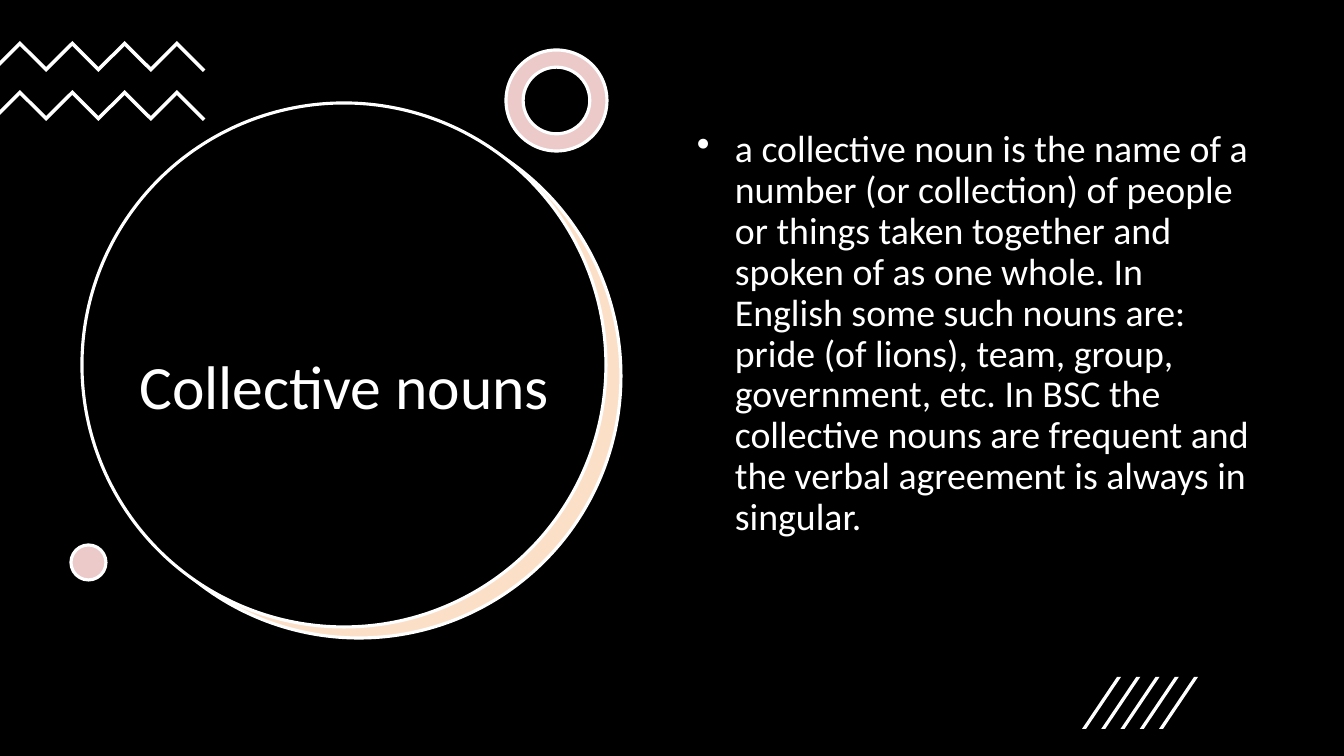
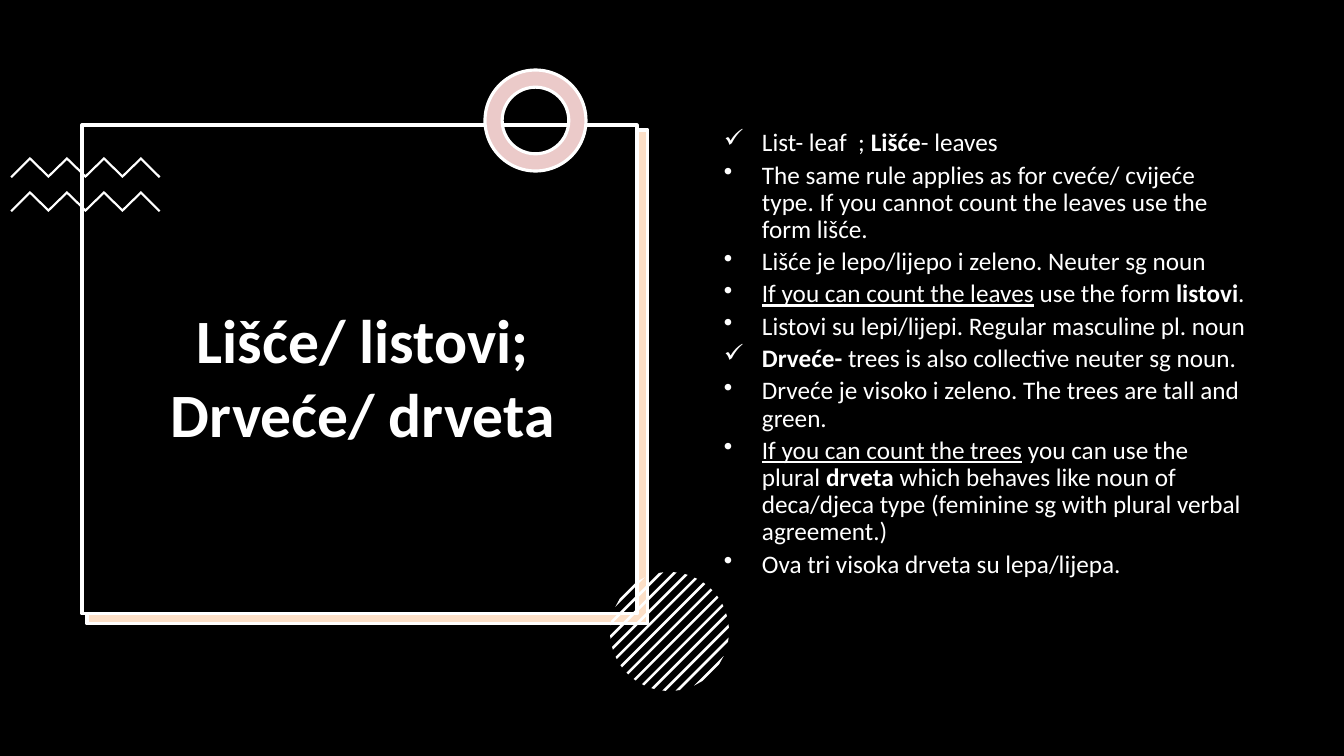
from math import sqrt

from lxml.etree import SubElement
from pptx import Presentation
from pptx.dml.color import RGBColor
from pptx.enum.shapes import MSO_SHAPE
from pptx.enum.text import MSO_ANCHOR, PP_ALIGN
from pptx.oxml.ns import qn
from pptx.util import Emu, Pt

# Shared look
BLACK = RGBColor(0x00, 0x00, 0x00)
WHITE = RGBColor(0xFF, 0xFF, 0xFF)
ORANGE = RGBColor(0xF7, 0x96, 0x46)
RED = RGBColor(0xC0, 0x50, 0x4D)
FONT = "Calibri"
TITLE_SIZE = 44
TINT_ALPHA = 30
OUTLINE = 2.25
PAGE_WIDTH, PAGE_HEIGHT = 1344, 756
EMU_PER_PIXEL = 914400 / 100.8
HANGING = 38
RING_SIZE, RING_THICKNESS = 101, 0.17

# Content: a paragraph is (bullet, [(text, format), ...])
DOT, TICK = "\u2022", "\u2713"
PLAIN, BOLD, UNDERLINED = {}, {"bold": True}, {"underline": True}

NOUNS_TITLE = "Collective nouns"
NOUNS_BODY = [
    (DOT, [("a\u00a0collective noun\u00a0is the name of a number (or collection) of people "
            "or things taken together and spoken of as one whole. In English some such "
            "nouns are: pride (of lions), team, group, government, etc. In BSC the "
            "collective nouns are frequent and the verbal agreement is always in "
            "singular.", PLAIN)]),
]

LEAVES_TITLE = "Lišće/ listovi; Drveće/ drveta"
LEAVES_BODY = [
    (TICK, [("List- leaf  ; ", PLAIN), ("Lišće", BOLD), ("- leaves", PLAIN)]),
    (DOT, [("The same rule applies as for cveće/ cvijeće type. If you cannot count "
            "the leaves use the form lišće.", PLAIN)]),
    (DOT, [("Lišće je lepo/lijepo i zeleno. Neuter sg noun", PLAIN)]),
    (DOT, [("If you can count the leaves", UNDERLINED), (" use the form ", PLAIN),
           ("listovi", BOLD), (".", PLAIN)]),
    (DOT, [("Listovi su lepi/lijepi. Regular masculine pl. noun", PLAIN)]),
    (TICK, [("Drveće-", BOLD), (" trees is also collective neuter sg noun.", PLAIN)]),
    (DOT, [("Drveće je visoko i zeleno. The trees are tall and green.", PLAIN)]),
    (DOT, [("If you can count the trees", UNDERLINED), (" you can use the plural ", PLAIN),
           ("drveta", BOLD),
           (" which behaves like noun of deca/djeca type (feminine sg with plural "
            "verbal agreement.)", PLAIN)]),
    (DOT, [("Ova tri visoka drveta su lepa/lijepa.", PLAIN)]),
]


def emu(pixels):
    return Emu(round(pixels * EMU_PER_PIXEL))


# Shapes
def paint(shape, fill, line=None):
    shape.shadow.inherit = False
    shape.fill.solid()
    shape.fill.fore_color.rgb = fill
    if line is None:
        shape.line.fill.background()
    else:
        shape.line.color.rgb = line
        shape.line.width = Pt(OUTLINE)


def add_preset(page, kind, place, fill, line=None):
    shape = page.shapes.add_shape(kind, *map(emu, place))
    paint(shape, fill, line)
    return shape


def add_tinted(page, kind, place, tint, thickness=None):
    """A white base under a see-through tint with a white outline."""
    base = add_preset(page, kind, place, WHITE)
    cover = add_preset(page, kind, place, tint, WHITE)
    color = cover._element.spPr.find(".//" + qn("a:srgbClr"))
    SubElement(color, qn("a:alpha"), val=str(TINT_ALPHA * 1000))
    if thickness is not None:
        for shape in (base, cover):
            shape.adjustments[0] = thickness


def add_ring(page, left, top):
    place = (left, top, RING_SIZE, RING_SIZE)
    add_tinted(page, MSO_SHAPE.DONUT, place, RED, RING_THICKNESS)


def add_panel(page, kind, back, front):
    add_tinted(page, kind, back, ORANGE)
    add_preset(page, kind, front, BLACK, WHITE)


def add_outline(page, points):
    corners = [(emu(x), emu(y)) for x, y in points]
    builder = page.shapes.build_freeform(*corners[0])
    builder.add_line_segments(corners[1:], close=True)
    paint(builder.convert_to_shape(), WHITE)


def add_zigzags(page, first, last, tops, rise, thickness):
    """Bands with seven bends; the left tail is cut off at the page edge."""
    step = (last - first) / 6
    reach = min(rise, first)
    cut = thickness / 2
    left_cut = cut if first > rise else 0
    for top in tops:
        bends = [(first + i * step, top + i % 2 * rise) for i in range(7)]
        upper = [(first - reach - left_cut, top + reach + left_cut), *bends,
                 (last + rise + cut, top + rise + cut)]
        lower = [(first - reach, top + reach + thickness),
                 *((x, y + thickness) for x, y in bends),
                 (last + rise, top + rise + thickness)]
        add_outline(page, upper + lower[::-1])


def add_slashes(page, left, top, height, count, step):
    slant, thickness = 35, 4
    for i in range(count):
        x = left + i * step
        add_outline(page, [(x, top + height), (x + slant, top),
                           (x + slant + thickness, top), (x + thickness, top + height)])


def add_striped_disc(page, left, top, size, count):
    """Diagonal stripes, each cut to the chords of the disc."""
    radius = size / 2
    center_x, center_y = left + radius, top + radius
    step, half_stripe = 9.5, 1.3
    for i in range(count):
        middle = (i - count // 2) * step
        points = []
        for offset, side in ((middle - half_stripe, 1), (middle + half_stripe, -1)):
            chord = sqrt(radius ** 2 - offset ** 2)
            for along in (side * chord, -side * chord):
                points.append((center_x + (offset + along) / sqrt(2),
                               center_y + (offset - along) / sqrt(2)))
        add_outline(page, points)


# Text
def add_span(para, text, size, formats):
    span = para.add_run()
    span.text = text
    span.font.color.rgb = WHITE
    for name, value in {"name": FONT, "size": Pt(size), **formats}.items():
        setattr(span.font, name, value)


def add_box(page, place):
    frame = page.shapes.add_textbox(*map(emu, place)).text_frame
    frame.word_wrap = True
    return frame


def add_title(page, place, text, formats):
    frame = add_box(page, place)
    frame.vertical_anchor = MSO_ANCHOR.MIDDLE
    para = frame.paragraphs[0]
    para.alignment = PP_ALIGN.CENTER
    add_span(para, text, TITLE_SIZE, formats)


def add_body(page, place, paragraphs, size):
    frame = add_box(page, place)
    for i, (bullet, spans) in enumerate(paragraphs):
        para = frame.add_paragraph() if i else frame.paragraphs[0]
        para.line_spacing = 0.9
        para.space_before = Pt(size * 0.2)
        properties = para._p.get_or_add_pPr()
        properties.set("marL", str(emu(HANGING)))
        properties.set("indent", str(-emu(HANGING)))
        SubElement(properties, qn("a:buChar"), char=bullet)
        for text, formats in spans:
            add_span(para, text, size, formats)


deck = Presentation()
deck.slide_width, deck.slide_height = emu(PAGE_WIDTH), emu(PAGE_HEIGHT)


def add_page():
    page = deck.slides.add_slide(deck.slide_layouts[6])
    add_preset(page, MSO_SHAPE.RECTANGLE, (0, 0, PAGE_WIDTH, PAGE_HEIGHT), BLACK)
    return page


# Slide 1: collective nouns
page = add_page()
add_panel(page, MSO_SHAPE.OVAL, (97, 114, 524, 524), (82, 103, 524, 524))
add_title(page, (122, 207, 445, 355), NOUNS_TITLE, PLAIN)
add_zigzags(page, first=20, last=177, tops=(41, 90), rise=26, thickness=5)
add_ring(page, 506, 50)
add_tinted(page, MSO_SHAPE.OVAL, (71, 545, 35, 35), RED)
add_body(page, (687, 125, 576, 480), NOUNS_BODY, 27)
add_slashes(page, left=1082, top=677, height=52, count=5, step=19.25)

# Slide 2: leaves and trees
page = add_page()
add_panel(page, MSO_SHAPE.RECTANGLE, (87, 130, 561, 494), (82, 125, 555, 489))
add_zigzags(page, first=30, last=141, tops=(157, 191), rise=18, thickness=3)
add_ring(page, 485, 70)
add_striped_disc(page, left=610, top=572, size=119, count=13)
add_title(page, (93, 153, 540, 446), LEAVES_TITLE, BOLD)
add_body(page, (714, 125, 548, 480), LEAVES_BODY, 18)

deck.save("out.pptx")
